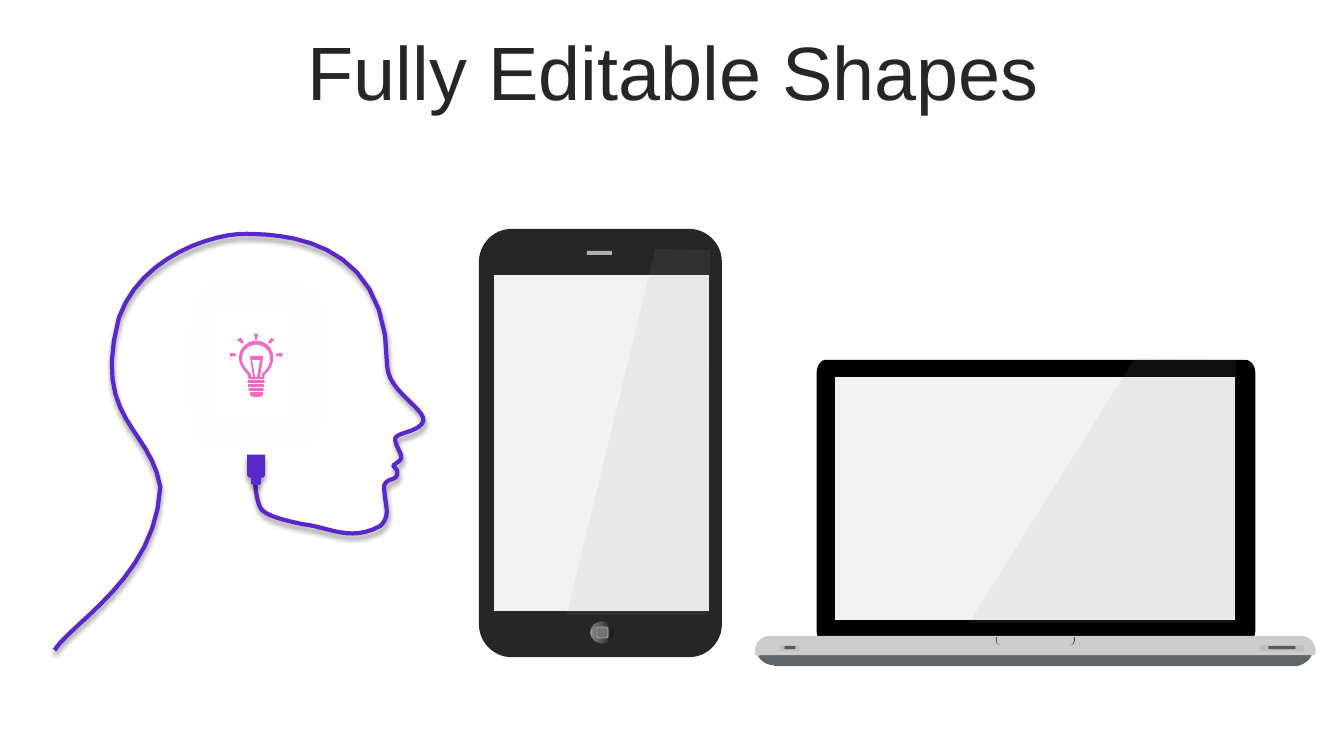
import pptx
import pptx.util
import pptx.dml.color
import pptx.enum.shapes
import pptx.enum.text
from lxml import etree
from pptx.oxml.ns import qn

KIND = pptx.enum.shapes.MSO_SHAPE


class Theme:
    font, title = "Arial", 54
    ink, purple, pink = "262626", "5A28C8", "EE6CC1"
    white, black, screen = "FFFFFF", "000000", "F2F2F2"
    foot, deck, notch = "5F6767", "CCCCCC", "4D4D4D"
    port, slot = "BFBFBF", "595959"
    metal, key, glare = "B0B0B0", "737373", "999999"
    dome = [(0, "0F0F0F"), (56, "595959"), (91, "808080"), (100, "BFBFBF")]
    drop = (black, 40, 4, 3, 90)
    glow = (white, 40, 26, 1, 0)


def cm(inch):
    return pptx.util.Cm(inch * 2.54)


def rgb(code):
    return pptx.dml.color.RGBColor.from_string(code)


def trace(route, steps=12):
    """Turn M, L and C commands into lists of points, one per contour."""
    loops = []
    for item in route.replace("M", "|M").replace("L", "|L").replace("C", "|C").split("|")[1:]:
        nums = [float(n) for n in item[1:].split()]
        dots = list(zip(nums[::2], nums[1::2]))
        if item[0] == "M":
            loops.append(dots)
        elif item[0] == "L":
            loops[-1] += dots
        else:
            for i in range(0, len(dots), 3):
                ends = [loops[-1][-1]] + dots[i:i + 3]
                for k in range(1, steps + 1):
                    t = k / steps
                    mix = ((1 - t) ** 3, 3 * t * (1 - t) ** 2, 3 * t * t * (1 - t), t ** 3)
                    loops[-1].append(tuple(sum(m * e[a] for m, e in zip(mix, ends))
                                           for a in (0, 1)))
    return [[(cm(x), cm(y)) for x, y in loop] for loop in loops]


class Board:
    def __init__(self, theme):
        self.theme = theme
        self.prs = pptx.Presentation()
        self.prs.slide_width, self.prs.slide_height = cm(13.33), cm(7.5)
        self.slide = self.prs.slides.add_slide(self.prs.slide_layouts[5])
        self.shapes = self.slide.shapes

    def title(self, text, box):
        head = self.slide.shapes.title
        head.left, head.top, head.width, head.height = map(cm, box)
        frame = head.text_frame
        frame.text = text
        frame.word_wrap = True
        frame.vertical_anchor = pptx.enum.text.MSO_ANCHOR.MIDDLE
        para = frame.paragraphs[0]
        para.alignment = pptx.enum.text.PP_ALIGN.CENTER
        para.line_spacing = 0.9
        font = para.runs[0].font
        font.name, font.size = self.theme.font, pptx.util.Pt(self.theme.title)
        font.color.rgb = rgb(self.theme.ink)

    def group(self):
        self.shapes = self.slide.shapes.add_group_shape().shapes

    def style(self, shape, fill, line=None, width=0, alpha=None, shadow=None):
        props = shape.element.spPr
        if fill is None:
            shape.fill.background()
        elif isinstance(fill, list):
            shape.fill.gradient()
            shape.fill.gradient_angle = 180
            stops = props.find(".//" + qn("a:gsLst"))
            stops.clear()
            for place, code in fill:
                stop = etree.SubElement(stops, qn("a:gs"), pos=str(place * 1000))
                etree.SubElement(stop, qn("a:srgbClr"), val=code)
        else:
            shape.fill.solid()
            shape.fill.fore_color.rgb = rgb(fill)
        if alpha:
            tint = props.find(qn("a:solidFill")).find(qn("a:srgbClr"))
            etree.SubElement(tint, qn("a:alpha"), val=str(alpha * 1000))
        if line:
            shape.line.color.rgb = rgb(line)
            shape.line.width = pptx.util.Pt(width)
        else:
            shape.line.fill.background()
        shape.shadow.inherit = False
        if shadow:
            code, part, blur, dist, turn = shadow
            cast = etree.SubElement(
                props.find(qn("a:effectLst")), qn("a:outerShdw"),
                blurRad=str(int(pptx.util.Pt(blur))), dist=str(int(pptx.util.Pt(dist))),
                dir=str(turn * 60000), algn="ctr", rotWithShape="0")
            tint = etree.SubElement(cast, qn("a:srgbClr"), val=code)
            etree.SubElement(tint, qn("a:alpha"), val=str(part * 1000))

    def shape(self, kind, box, fill, adj=None, **look):
        item = self.shapes.add_shape(kind, *map(cm, box))
        if adj is not None:
            item.adjustments[0] = adj
        self.style(item, fill, **look)

    def free(self, route, fill, close=True, **look):
        loops = trace(route)
        pen = self.shapes.build_freeform(*loops[0][0])
        for i, loop in enumerate(loops):
            if i:
                pen.move_to(*loop[0])
            pen.add_line_segments(loop[1:], close=close)
        self.style(pen.convert_to_shape(), fill, **look)


def head(board):
    look = board.theme
    board.group()
    # Profile drawn as one cable
    board.free("M2.53 4.77 C2.53 4.78 2.54 5 2.6 5.06 2.66 5.12 2.81 5.16 3 5.2 "
               "3.27 5.23 3.47 5.38 3.77 5.22 3.89 5.11 3.81 5 3.81 4.82 "
               "3.84 4.73 3.94 4.78 3.94 4.69 3.94 4.65 3.92 4.65 3.9 4.62 "
               "3.93 4.59 3.97 4.58 3.98 4.54 3.98 4.48 3.92 4.43 3.92 4.35 "
               "3.95 4.28 4.17 4.29 4.2 4.17 4.21 4.05 3.85 3.88 3.84 3.63 "
               "3.85 2.3 2.7 2.33 2.45 2.32 2.14 2.31 1.4 2.53 1.18 3.15 "
               "0.91 4.17 1.49 4.23 1.59 4.83 1.55 5.72 0.72 6.17 0.54 6.45",
               None, close=False, line=look.purple, width=3, shadow=look.drop)
    # Plug and card
    board.free("M2.45 4.51 L2.63 4.51 2.63 4.71 C2.63 4.72 2.61 4.74 2.6 4.74 "
               "L2.59 4.74 2.59 4.79 C2.59 4.8 2.58 4.81 2.57 4.81 L2.51 4.81 "
               "C2.5 4.81 2.49 4.8 2.49 4.79 L2.49 4.74 2.48 4.74 "
               "C2.47 4.74 2.45 4.72 2.45 4.71", look.purple, shadow=look.drop)
    board.shape(KIND.RECTANGLE, (2.17, 3.09, 0.73, 1.07), look.white, shadow=look.glow)
    # Bulb glass and filament
    board.free("M2.54 3.38 C2.64 3.38 2.71 3.46 2.71 3.55 2.71 3.62 2.67 3.68 2.63 3.71 "
               "2.62 3.72 2.63 3.73 2.62 3.75 2.62 3.76 2.61 3.76 2.6 3.76 L2.48 3.76 "
               "C2.47 3.76 2.47 3.76 2.46 3.75 2.46 3.73 2.46 3.72 2.45 3.71 "
               "2.42 3.68 2.37 3.62 2.37 3.55 2.37 3.46 2.45 3.38 2.54 3.38 "
               "M2.54 3.42 C2.46 3.42 2.4 3.48 2.4 3.56 2.4 3.61 2.44 3.66 2.47 3.69 "
               "2.48 3.7 2.48 3.7 2.49 3.72 2.49 3.74 2.48 3.74 2.5 3.74 L2.51 3.74 "
               "2.48 3.54 2.49 3.53 2.6 3.53 2.61 3.54 2.58 3.74 2.59 3.74 "
               "C2.6 3.74 2.6 3.74 2.6 3.72 2.6 3.7 2.6 3.7 2.62 3.69 "
               "2.65 3.66 2.68 3.61 2.68 3.56 2.68 3.48 2.62 3.42 2.54 3.42 "
               "M2.5 3.57 L2.53 3.74 2.55 3.74 2.58 3.57", look.pink)
    # Bulb rays, tip and thread
    board.free("M2.8 3.5 L2.8 3.54 2.74 3.53 2.74 3.51 M2.28 3.5 L2.34 3.51 2.34 3.53 2.28 3.54 "
               "M2.69 3.35 L2.72 3.37 2.68 3.41 2.66 3.4 M2.39 3.35 L2.42 3.4 2.4 3.41 2.35 3.37 "
               "M2.52 3.31 L2.56 3.31 2.55 3.37 2.53 3.37 "
               "M2.48 3.89 L2.61 3.89 2.61 3.91 C2.61 3.93 2.58 3.94 2.54 3.94 "
               "2.51 3.94 2.48 3.93 2.48 3.91", look.pink)
    for i, wide in enumerate((0.17, 0.16, 0.15)):
        board.shape(KIND.ROUNDED_RECTANGLE, (2.54 - wide / 2, 3.77 + 0.04 * i, wide, 0.03),
                    look.pink, adj=0.4)


def laptop(board):
    look = board.theme
    board.group()
    # Foot, lid, screen and deck
    board.free("M12.86 6.61 C12.86 6.61 12.97 6.59 13.01 6.5 13.01 6.47 12.99 6.45 12.96 6.45 "
               "L7.65 6.47 7.58 6.47 C7.55 6.47 7.52 6.49 7.52 6.51 "
               "7.56 6.58 7.63 6.6 7.67 6.6 L7.69 6.61", look.foot)
    board.free("M12.45 6.26 C12.45 6.33 12.4 6.39 12.35 6.39 L8.19 6.39 "
               "C8.14 6.39 8.1 6.33 8.1 6.26 L8.1 3.7 C8.1 3.63 8.14 3.57 8.19 3.57 "
               "L12.35 3.57 C12.4 3.57 12.45 3.62 12.45 3.7", look.black)
    board.free("M8.28 3.74 L12.25 3.74 12.25 6.15 8.28 6.15", look.screen)
    board.free("M7.63 6.31 L12.91 6.31 C12.98 6.31 13.05 6.38 13.05 6.45 L13.05 6.48 "
               "C13.05 6.48 13.05 6.51 13 6.5 L7.54 6.5 C7.52 6.51 7.49 6.51 7.49 6.48 "
               "L7.49 6.45 C7.49 6.38 7.55 6.31 7.63 6.31", look.deck)
    # Notch and ports
    board.free("M9.88 6.32 L9.89 6.32 C9.89 6.32 9.87 6.39 9.92 6.4 9.86 6.39 9.88 6.32 9.88 6.32 "
               "M10.65 6.32 L10.66 6.32 C10.67 6.39 10.63 6.4 10.61 6.4 "
               "10.63 6.4 10.66 6.38 10.65 6.32", look.notch)
    for left, wide, start, long in ((7.73, 0.2, 7.78, 0.11), (12.5, 0.43, 12.58, 0.27)):
        for box, fill in (((left, 6.4, wide, 0.06), look.port),
                          ((start, 6.41, long, 0.03), look.slot)):
            board.shape(KIND.ROUNDED_RECTANGLE, box, fill, adj=0.28)
    # Glare
    board.free("M11.26 3.55 L12.26 3.56 12.26 6.18 9.61 6.18", look.glare, alpha=10)


def phone(board):
    look = board.theme
    board.group()
    # Body, speaker and home button
    board.shape(KIND.ROUNDED_RECTANGLE, (4.75, 2.27, 2.41, 4.25), look.ink, adj=0.136)
    board.shape(KIND.RECTANGLE, (5.82, 2.49, 0.25, 0.04), look.metal)
    board.shape(KIND.OVAL, (5.85, 6.16, 0.24, 0.23), look.dome, line=look.ink)
    board.shape(KIND.ROUNDED_RECTANGLE, (5.92, 6.22, 0.11, 0.11), look.key,
                line=look.metal, width=0.5)
    # Screen and glare
    board.free("M4.9 2.73 L7.03 2.73 7.03 6.06 4.9 6.06", look.screen)
    board.free("M6.5 2.47 L7.04 2.48 7.03 6.1 5.62 6.1", look.glare, alpha=10)


def main():
    board = Board(Theme())
    board.title("Fully Editable Shapes", (0.35, 0.36, 12.66, 0.79))
    head(board)
    laptop(board)
    phone(board)
    board.prs.save("out.pptx")


if __name__ == "__main__":
    main()
